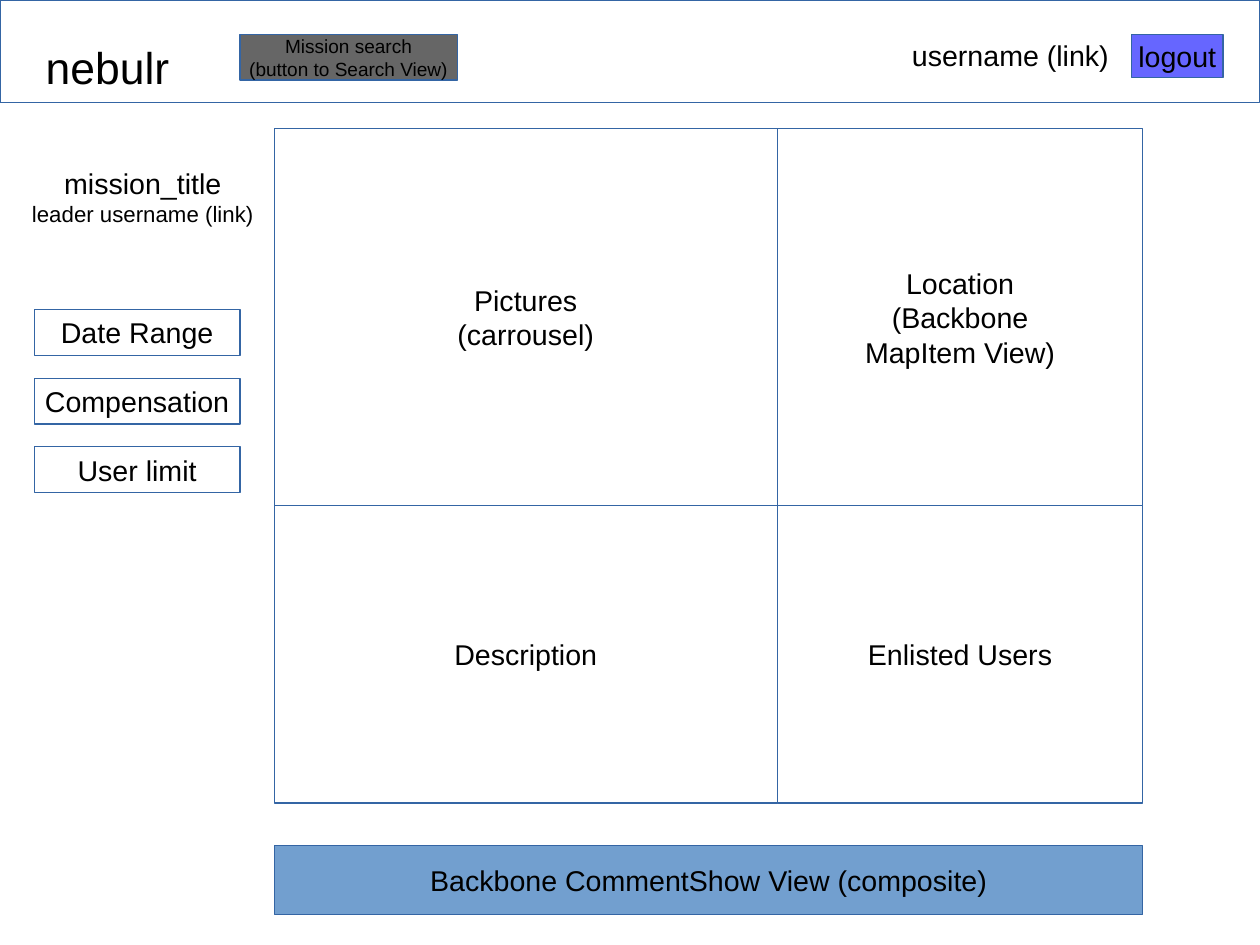
import pptx
import pptx.util
import pptx.dml.color
import pptx.enum.shapes
import pptx.enum.text

Pt = pptx.util.Pt
ALIGN = pptx.enum.text.PP_ALIGN
ANCHOR = pptx.enum.text.MSO_ANCHOR
WIDE, HIGH = 793.7, 595.28
LINE, WHITE, BLACK = "3465A4", "FFFFFF", "000000"
GRAY, VIOLET, BLUE = "666666", "6666FF", "729FCF"


def color(code):
    return pptx.dml.color.RGBColor.from_string(code)


def write(shape, lines, sizes, align, anchor, wrap):
    """Fill a shape with one paragraph per line, each with its own size."""
    frame = shape.text_frame
    frame.text = "\n".join(lines)
    frame.word_wrap = wrap
    frame.auto_size = pptx.enum.text.MSO_AUTO_SIZE.NONE
    frame.vertical_anchor = anchor
    frame.margin_left = frame.margin_right = Pt(7.2)
    frame.margin_top = frame.margin_bottom = Pt(3.6)
    for para, size in zip(frame.paragraphs, sizes):
        para.alignment = align
        para.font.name = "Arial"
        para.font.size = Pt(size)
        para.font.color.rgb = color(BLACK)


def panel(slide, box, lines=(), fill=WHITE, size=18):
    """Add an outlined rectangle with centred text."""
    rect = slide.shapes.add_shape(
        pptx.enum.shapes.MSO_SHAPE.RECTANGLE, *map(Pt, box))
    rect.shadow.inherit = False
    rect.fill.solid()
    rect.fill.fore_color.rgb = color(fill)
    rect.line.color.rgb = color(LINE)
    rect.line.width = Pt(0.75)
    if lines:
        write(rect, lines, [size] * len(lines), ALIGN.CENTER,
              ANCHOR.MIDDLE, False)


def label(slide, box, lines, sizes, align):
    text = slide.shapes.add_textbox(*map(Pt, box))
    write(text, lines, sizes, align, ANCHOR.TOP, True)


def brand(slide, box):
    """Place the title in front of the header bar."""
    title = slide.shapes.title
    title.left, title.top, title.width, title.height = map(Pt, box)
    write(title, ["nebulr"], [28], ALIGN.LEFT, ANCHOR.TOP, True)
    title.element.getparent().append(title.element)


def header(slide, box):
    left, top, width, height = box
    right, row = left + width, top + 21.6
    panel(slide, box)
    panel(slide, (left + 151.2, row, 136.8, 28.8),
          ["Mission search", "(button to Search View)"], GRAY, 12)
    brand(slide, (left + 21.6, row, 201.6, 38.16))
    panel(slide, (right - 80.9, row, 57.6, 27.36), ["logout"], VIOLET)
    label(slide, (right - 253.7, row - 1.44, 165.6, 27.36),
          ["username (link)"], [18], ALIGN.RIGHT)


def sidebar(slide, box):
    left, top, width, height = box
    label(slide, (left - 28.8, top, width + 64.8, 27.36),
          ["mission_title", "leader username (link)"], [18, 14],
          ALIGN.CENTER)
    step, tall = 43.2, 28.8
    first = top + height - 2 * step - tall
    for i, name in enumerate(["Date Range", "Compensation", "User limit"]):
        panel(slide, (left, first + i * step, width, tall), [name])


def grid(slide, box):
    left, top, width, height = box
    split, fold = 316.8, 237.6
    cols = [(left, split), (left + split, width - split)]
    rows = [(top, fold), (top + fold, height - fold)]
    cells = [
        [["Pictures", "(carrousel)"],
         ["Location", "(Backbone", "MapItem View)"]],
        [["Description"], ["Enlisted Users"]],
    ]
    for (y, tall), row in zip(rows, cells):
        for (x, wide), lines in zip(cols, row):
            panel(slide, (x, y, wide, tall), lines)


def main():
    deck = pptx.Presentation()
    deck.slide_width, deck.slide_height = Pt(WIDE), Pt(HIGH)
    slide = deck.slides.add_slide(deck.slide_layouts.get_by_name("Title Only"))
    header(slide, (0, 0, WIDE, 64.8))
    label_top = 100.8
    sidebar(slide, (21.6, label_top, 129.6, 209.52))
    grid(slide, (172.8, 81.1, 547.2, 424.8))
    panel(slide, (172.8, 532.8, 547.2, 43.2),
          ["Backbone CommentShow View (composite)"], BLUE)
    deck.save("out.pptx")


if __name__ == "__main__":
    main()
